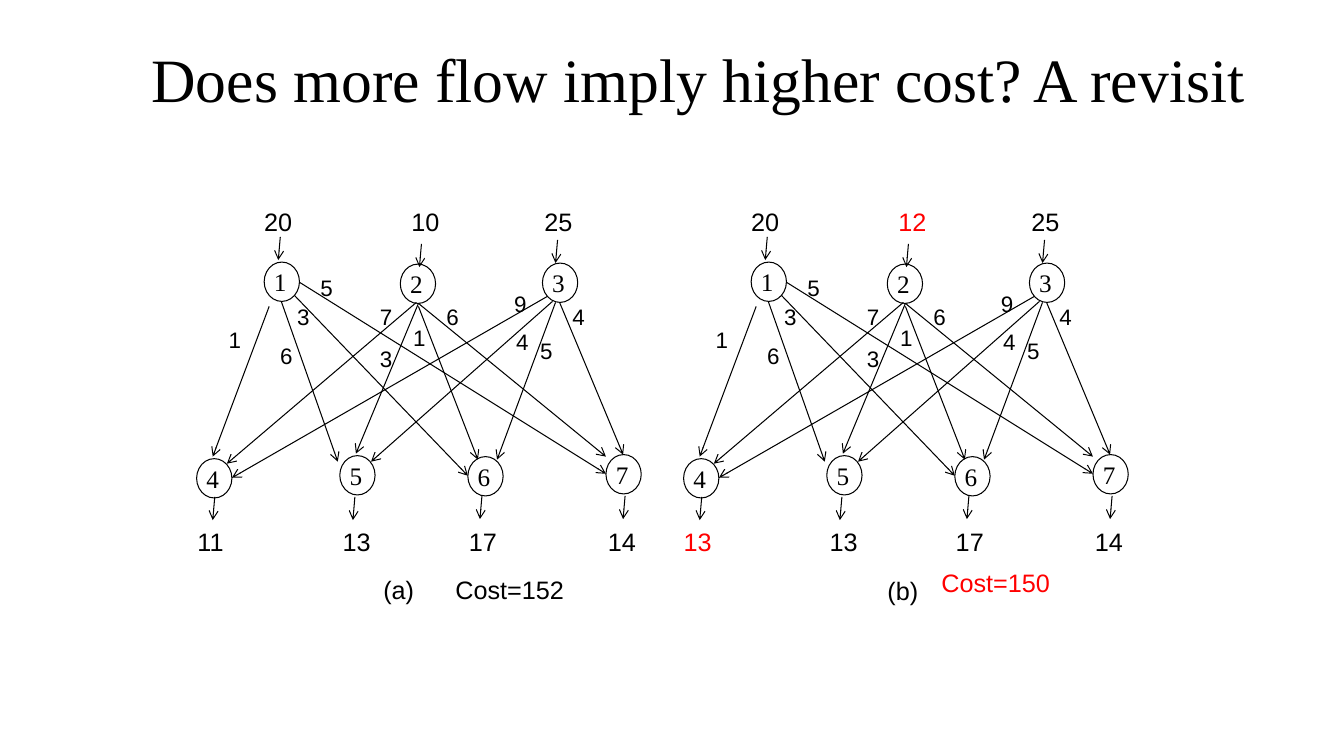
from lxml import etree
from pptx import Presentation
from pptx.dml.color import RGBColor
from pptx.enum.shapes import MSO_CONNECTOR, MSO_SHAPE
from pptx.enum.text import MSO_ANCHOR, MSO_AUTO_SIZE, PP_ALIGN
from pptx.oxml.ns import qn
from pptx.util import Inches, Pt

STRAIGHT = MSO_CONNECTOR.STRAIGHT
OVAL = MSO_SHAPE.OVAL
MIDDLE = MSO_ANCHOR.MIDDLE
NO_AUTOFIT = MSO_AUTO_SIZE.NONE
LEFT, CENTER = PP_ALIGN.LEFT, PP_ALIGN.CENTER

SLIDE_W, SLIDE_H = 13.33, 7.5
BLACK, RED = "000000", "FF0000"
SANS, SERIF = "Arial", "Times New Roman"
INSET = 0.1

# All network positions are inches from the panel's top left corner.
NODE_W, NODE_H = 0.35, 0.39
NODES = [(1.10, 0.60), (2.45, 0.62), (3.86, 0.61),
         (0.43, 2.55), (1.85, 2.52), (3.12, 2.53), (4.49, 2.51)]

# Arc start, arc end, unit cost, corner of the cost label
ARCS = [
    ((1.15, 1.04), (0.59, 2.53), 1, (0.65, 1.19)),
    ((1.27, 0.99), (1.83, 2.58), 6, (1.16, 1.35)),
    ((1.40, 0.93), (3.12, 2.72), 3, (1.33, 0.96)),
    ((1.45, 0.80), (4.49, 2.70), 5, (1.56, 0.67)),
    ((2.61, 1.00), (0.73, 2.60), 7, (2.15, 0.96)),
    ((2.63, 1.01), (2.01, 2.50), 3, (2.15, 1.38)),
    ((2.63, 1.04), (3.22, 2.56), 1, (2.48, 1.17)),
    ((2.63, 1.01), (4.49, 2.53), 6, (2.81, 0.96)),
    ((3.91, 0.94), (0.78, 2.74), 9, (3.48, 0.83)),
    ((3.96, 0.99), (2.16, 2.58), 4, (3.50, 1.21)),
    ((3.99, 1.00), (3.41, 2.56), 5, (3.74, 1.30)),
    ((4.03, 1.00), (4.66, 2.51), 4, (4.06, 0.96)),
]
INFLOWS = [(1.26, 0.35), (2.66, 0.42), (4.01, 0.38)]
OUTFLOWS = [(0.61, 2.93), (2.00, 2.93), (3.26, 2.92), (4.68, 2.92)]
FLOW_DX, FLOW_DY = -0.02, 0.23
SUPPLY_CENTERS = [1.24, 2.70, 4.02]
DEMAND_CENTERS = [0.57, 2.02, 3.27, 4.65]


def rgb(color):
    return RGBColor.from_string(color)


def add_run(paragraph, text, size, font=SANS, color=BLACK):
    run = paragraph.add_run()
    run.text = text
    run.font.size = Pt(size)
    run.font.name = font
    run.font.color.rgb = rgb(color)


def add_text(slide, x, y, w, h, runs, size, align=LEFT):
    """Add a one-line text box; runs is a list of (text, color)."""
    box = slide.shapes.add_textbox(Inches(x), Inches(y), Inches(w), Inches(h))
    box.text_frame.word_wrap = True
    paragraph = box.text_frame.paragraphs[0]
    paragraph.alignment = align
    for text, color in runs:
        add_run(paragraph, text, size, color=color)
    return paragraph


def add_amounts(slide, panel, x, y, w, amounts, centers):
    """Add a row of (amount, color) centred on tab stops."""
    runs = [(f"\t{amount}", color) for amount, color in amounts]
    paragraph = add_text(slide, panel[0] + x, panel[1] + y, w, 0.4, runs, 18)
    tabs = etree.SubElement(paragraph._p.get_or_add_pPr(), qn("a:tabLst"))
    for center in centers:
        etree.SubElement(tabs, qn("a:tab"), algn="ctr",
                         pos=str(int(Inches(center - x - INSET))))


def add_arrow(slide, panel, start, end):
    left, top = panel
    arrow = slide.shapes.add_connector(
        STRAIGHT, Inches(left + start[0]), Inches(top + start[1]),
        Inches(left + end[0]), Inches(top + end[1]))
    arrow.line.color.rgb = rgb(BLACK)
    arrow.line.width = Pt(0.75)
    etree.SubElement(arrow.line._get_or_add_ln(), qn("a:tailEnd"), type="arrow")
    etree.SubElement(arrow._element.spPr, qn("a:effectLst"))


def add_node(slide, x, y, number):
    node = slide.shapes.add_shape(OVAL, Inches(x), Inches(y),
                                  Inches(NODE_W), Inches(NODE_H))
    node.shadow.inherit = False
    node.fill.background()
    node.line.color.rgb = rgb(BLACK)
    node.line.width = Pt(0.75)
    frame = node.text_frame
    frame.margin_left = frame.margin_top = frame.margin_bottom = 0
    frame.margin_right = Inches(0.03)
    frame.word_wrap = False
    frame.vertical_anchor = MIDDLE
    frame.paragraphs[0].alignment = CENTER
    add_run(frame.paragraphs[0], str(number), 18, SERIF)


def add_network(slide, panel, supplies, demands):
    left, top = panel
    for number, (x, y) in enumerate(NODES, start=1):
        add_node(slide, left + x, top + y, number)
    for start, end, cost, (x, y) in ARCS:
        add_arrow(slide, panel, start, end)
        add_text(slide, left + x, top + y, 0.43, 0.37, [(str(cost), BLACK)], 16)
    for x, y in INFLOWS + OUTFLOWS:
        add_arrow(slide, panel, (x, y), (x + FLOW_DX, y + FLOW_DY))
    add_amounts(slide, panel, 0.73, 0, 3.92, supplies, SUPPLY_CENTERS)
    add_amounts(slide, panel, 0, 3.17, 5, demands, DEMAND_CENTERS)


def add_caption(slide, x, y, w, text, color=BLACK):
    add_text(slide, x, y, w, 0.4, [(text, color)], 18, CENTER)


def add_title(slide, text):
    title = slide.shapes.title
    title.left, title.top = Inches(1.18), Inches(0.15)
    title.width, title.height = Inches(11.5), Inches(1.25)
    frame = title.text_frame
    frame.auto_size = NO_AUTOFIT
    frame.vertical_anchor = MIDDLE
    frame.paragraphs[0].alignment = CENTER
    add_run(frame.paragraphs[0], text, 44, SERIF)


def main():
    prs = Presentation()
    prs.slide_width, prs.slide_height = Inches(SLIDE_W), Inches(SLIDE_H)
    slide = prs.slides.add_slide(prs.slide_layouts[5])
    add_title(slide, "Does more flow imply higher cost? A revisit")

    add_network(slide, (1.52, 2),
                [(20, BLACK), (10, BLACK), (25, BLACK)],
                [(11, BLACK), (13, BLACK), (17, BLACK), (14, BLACK)])
    add_caption(slide, 3.49, 5.65, 0.93, "(a)")
    add_caption(slide, 4.32, 5.65, 1.47, "Cost=152")

    add_network(slide, (6.35, 2),
                [(20, BLACK), (12, RED), (25, BLACK)],
                [(13, RED), (13, BLACK), (17, BLACK), (14, BLACK)])
    add_caption(slide, 8.49, 5.66, 0.93, "(b)")
    add_caption(slide, 9.14, 5.58, 1.47, "Cost=150", RED)
    prs.save("out.pptx")


if __name__ == "__main__":
    main()
